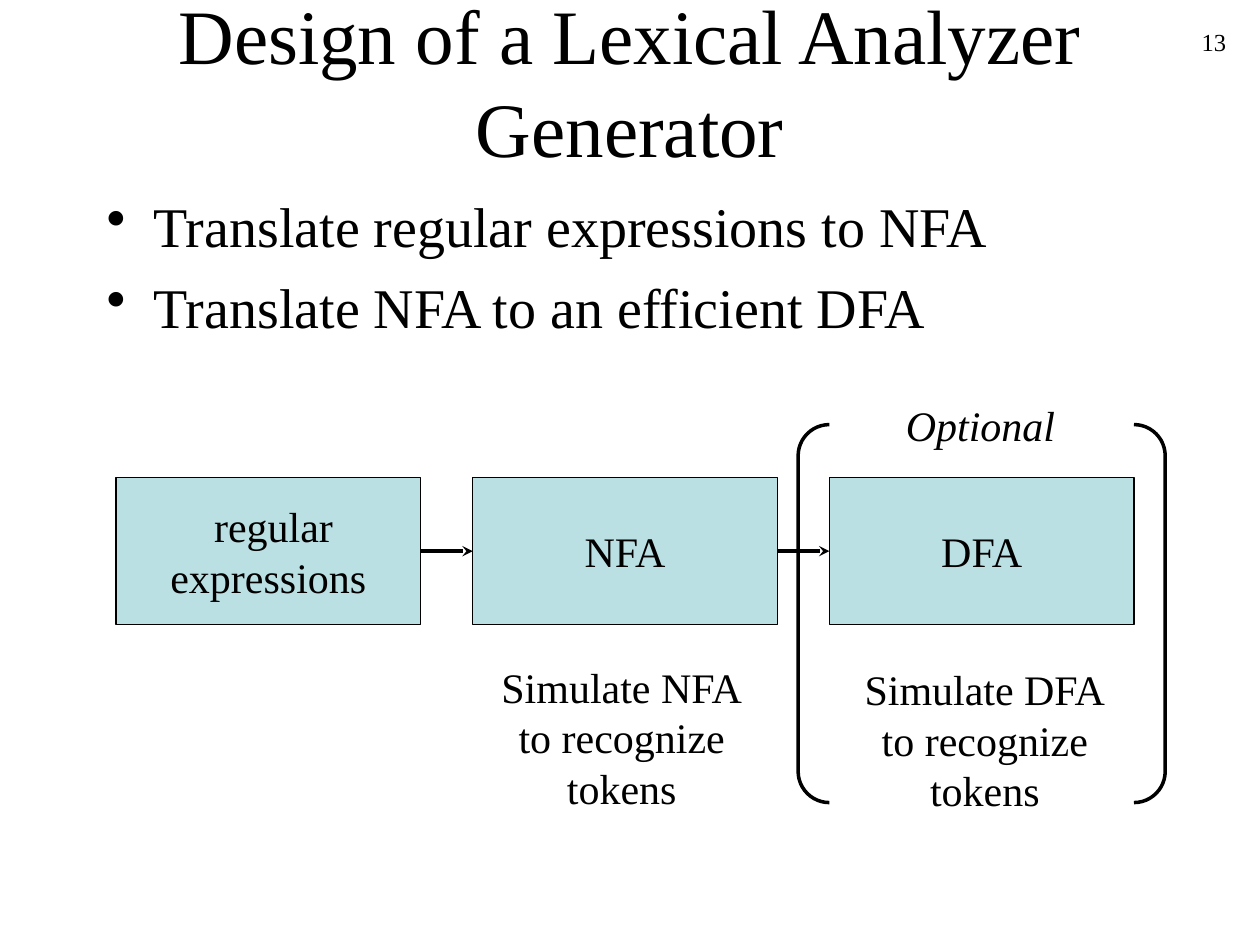
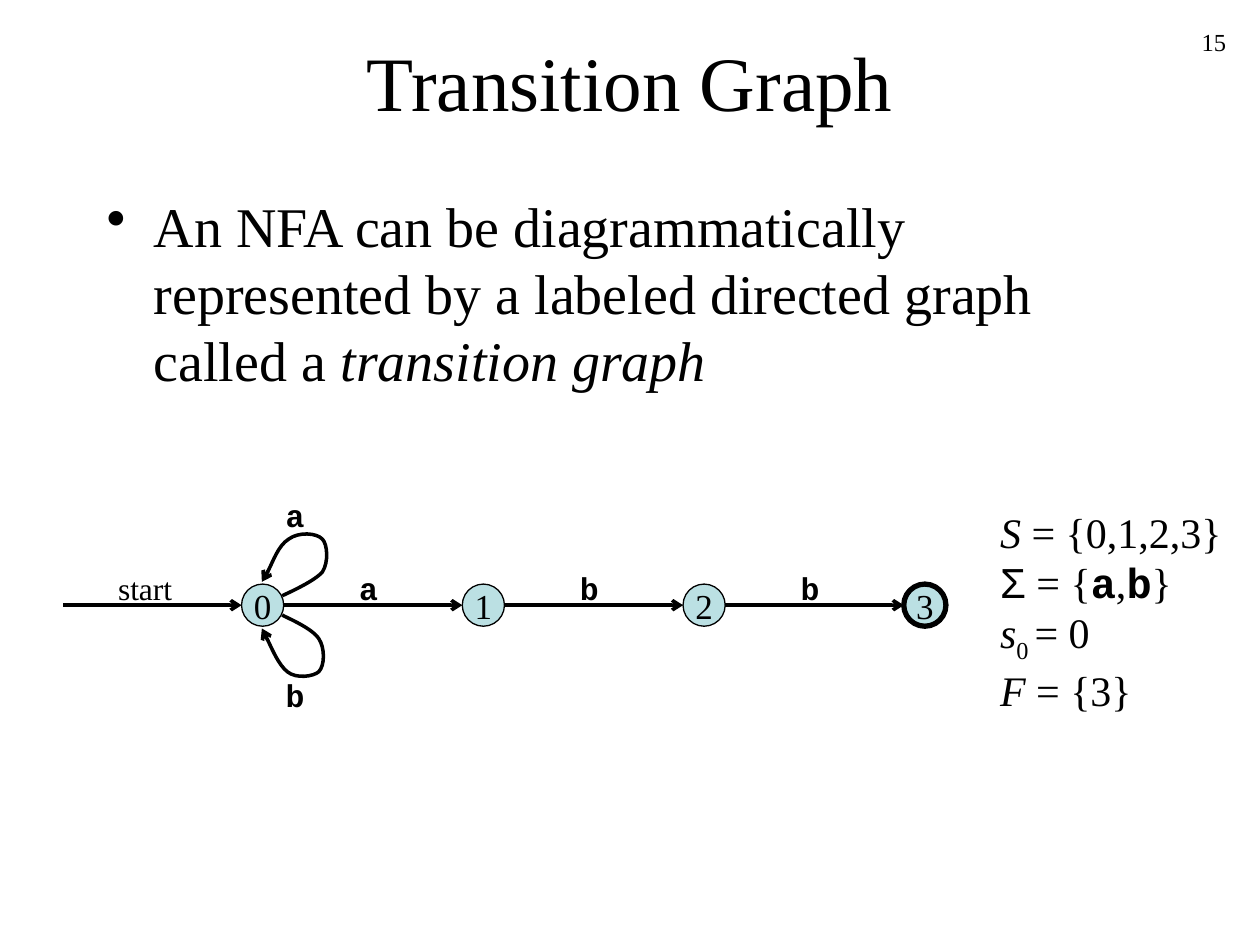
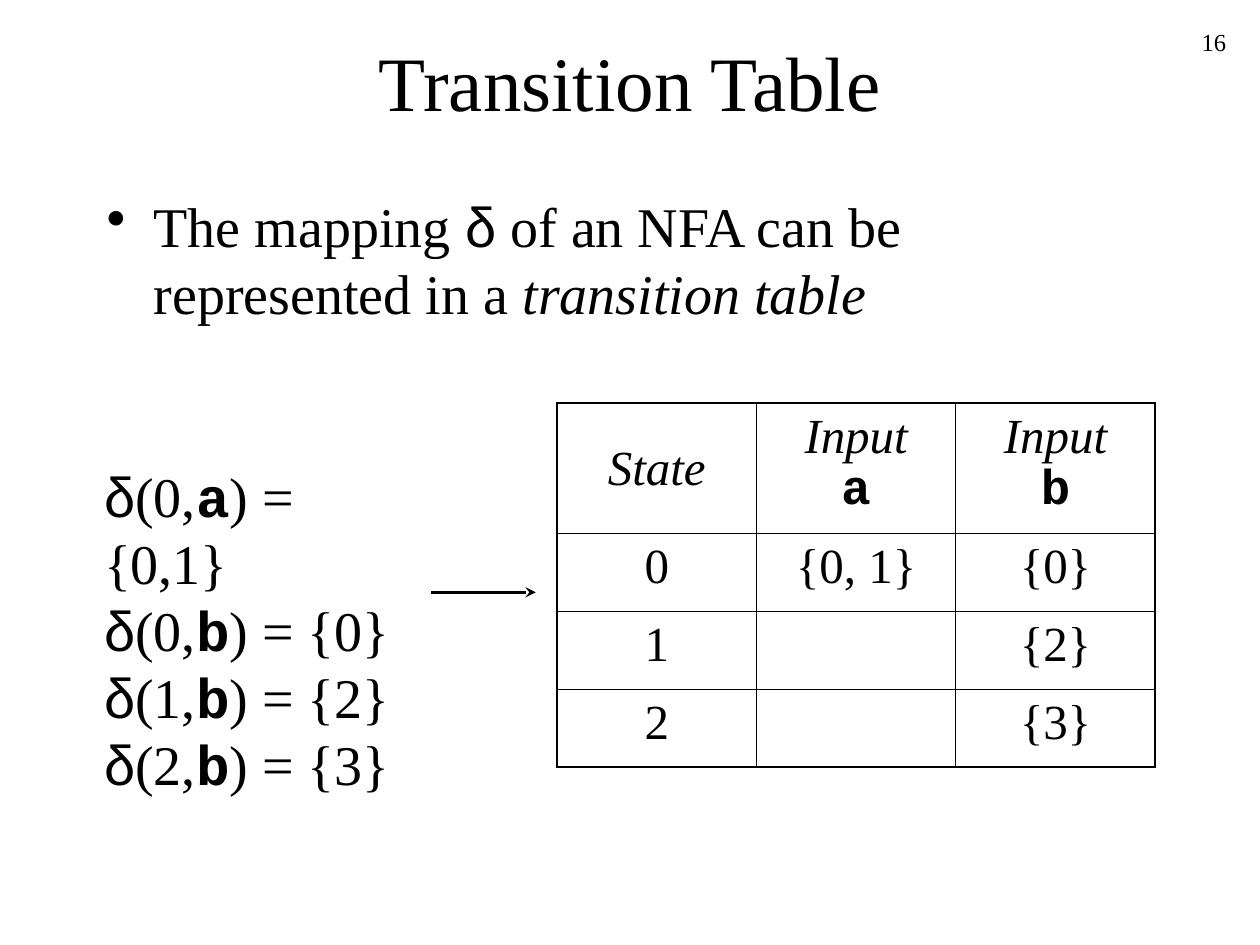
from lxml import etree
from pptx import Presentation
from pptx.dml.color import RGBColor
from pptx.enum.shapes import MSO_CONNECTOR, MSO_SHAPE
from pptx.enum.text import MSO_ANCHOR, PP_ALIGN
from pptx.oxml.ns import qn
from pptx.util import Cm, Pt

INK, BOX_FILL = "000000", "BBE0E3"
SERIF, SANS, MONO = "Times New Roman", "Arial", "Courier New"
STYLES = {
    "italic": {"italic": True},
    "greek": {"name": SANS},
    "code": {"name": MONO, "bold": True},
    "sub": {},
}

# Text is a string or a list of strings and (text, style) pairs.
SLIDES = [
    {"number": "13", "title": "Design of a Lexical Analyzer Generator",
     "bullets": ["Translate regular expressions to NFA",
                 "Translate NFA to an efficient DFA"]},
    {"number": "15", "title": "Transition Graph",
     "bullets": [["An NFA can be diagrammatically represented by a labeled "
                  "directed graph called a ", ("transition graph", "italic")]]},
    {"number": "16", "title": "Transition Table",
     "bullets": [["The mapping ", ("δ", "greek"), " of an NFA can be represented in a ",
                  ("transition table", "italic")]]},
]

STAGES = [" regular\nexpressions", "NFA", "DFA"]
STAGE_NOTES = [("Simulate NFA\nto recognize\ntokens", 9.83, 13.21),
               ("Simulate DFA\nto recognize\ntokens", 17.15, 13.26)]

STATES = ["0", "1", "2", "3"]
EDGES = ["a", "b", "b"]
# Start point, then two control points and an end point for each curve.
LOOPS = [
    ("a", 9.88, [(5.69, 12.01), (5.84, 11.94), (6.35, 11.71), (6.5, 11.53),
                 (6.63, 11.33), (6.6, 10.97), (6.5, 10.87),
                 (6.38, 10.74), (6.02, 10.72), (5.82, 10.87),
                 (5.61, 11), (5.41, 11.56), (5.28, 11.73)]),
    ("b", 13.51, [(5.69, 12.4), (5.82, 12.47), (6.3, 12.67), (6.43, 12.88),
                  (6.55, 13.06), (6.55, 13.41), (6.43, 13.54),
                  (6.32, 13.64), (5.97, 13.69), (5.79, 13.54),
                  (5.61, 13.39), (5.38, 12.85), (5.28, 12.67)]),
]
DEFINITION = [("S ", "italic"), "= {0,1,2,3}\n",
              ("Σ", "greek"), " = {", ("a", "code"), ",", ("b", "code"), "}\n",
              ("s", "italic"), ("0 ", "sub"), "= 0\n",
              ("F ", "italic"), "= {3}"]

MAPPINGS = [("0", "a", "{0,1}"), ("0", "b", "{0}"), ("1", "b", "{2}"), ("2", "b", "{3}")]
TABLE = [
    [[("State", "italic")],
     [("Input\n", "italic"), ("a", "code")],
     [("Input\n", "italic"), ("b", "code")]],
    ["0", "{0, 1}", "{0}"],
    ["1", "", "{2}"],
    ["2", "", "{3}"],
]


def rgb(value):
    return RGBColor.from_string(value)


def write(tf, *paragraphs, size=24, align=PP_ALIGN.LEFT, anchor=MSO_ANCHOR.TOP,
          wrap=False, before=0, bullet=False):
    tf.word_wrap = wrap
    tf.vertical_anchor = anchor
    for i, text in enumerate(paragraphs):
        p = tf.add_paragraph() if i else tf.paragraphs[0]
        p.alignment = align
        p.space_before = Pt(before)
        if bullet:
            pPr = p._p.get_or_add_pPr()
            pPr.set("marL", str(Cm(0.95)))
            pPr.set("indent", str(-Cm(0.95)))
            etree.SubElement(pPr, qn("a:buChar"), char="•")
        for part in [text] if isinstance(text, str) else text:
            add_part(p, *([part] if isinstance(part, str) else part), size=size)


def add_part(p, text, style=None, size=24):
    """Add text in one style, with a line break at each newline."""
    for i, line in enumerate(text.split("\n")):
        if i:
            p.add_line_break()
        if not line:
            continue
        r = p.add_run()
        r.text = line
        font = r.font
        font.size, font.name = Pt(size), SERIF
        font.color.rgb = rgb(INK)
        for key, value in STYLES.get(style, {}).items():
            setattr(font, key, value)
        if style == "sub":
            r._r.get_or_add_rPr().set("baseline", "-25000")


def add_text(s, x, y, w, h, *paragraphs, **format):
    tf = s.shapes.add_textbox(Cm(x), Cm(y), Cm(w), Cm(h)).text_frame
    write(tf, *paragraphs, **format)
    return tf


def outline(sp, width, head=None):
    sp.line.color.rgb = rgb(INK)
    sp.line.width = Pt(width)
    if head:
        etree.SubElement(sp.line._get_or_add_ln(), qn("a:tailEnd"), type=head)


def add_shape(s, kind, x, y, w, h, text="", fill=None, line=0.75, size=24):
    sp = s.shapes.add_shape(kind, Cm(x), Cm(y), Cm(w), Cm(h))
    sp.shadow.inherit = False
    if fill:
        sp.fill.solid()
        sp.fill.fore_color.rgb = rgb(fill)
    else:
        sp.fill.background()
    outline(sp, line)
    if text:
        write(sp.text_frame, text, size=size, align=PP_ALIGN.CENTER, anchor=MSO_ANCHOR.MIDDLE)
    return sp


def add_arrow(s, x1, x2, y, head):
    c = s.shapes.add_connector(MSO_CONNECTOR.STRAIGHT, Cm(x1), Cm(y), Cm(x2), Cm(y))
    outline(c, 2, head)
    etree.SubElement(c._element.spPr, qn("a:effectLst"))


def add_curve(s, points, head):
    """Draw a freeform through the points, then turn each three lines into a curve."""
    points = [(Cm(x), Cm(y)) for x, y in points]
    builder = s.shapes.build_freeform(*points[0])
    builder.add_line_segments(points[1:], close=False)
    sp = builder.convert_to_shape()
    sp.shadow.inherit = False
    sp.fill.background()
    outline(sp, 2, head)
    path_el = next(sp._element.iter(qn("a:path")))
    lines = path_el.findall(qn("a:lnTo"))
    for i in range(0, len(lines), 3):
        curve = etree.SubElement(path_el, qn("a:cubicBezTo"))
        for line in lines[i:i + 3]:
            curve.append(line[0])
            path_el.remove(line)


def add_base(prs, number, title, bullets):
    s = prs.slides.add_slide(prs.slide_layouts[6])
    add_text(s, 19.69, 0.43, 5.28, 1.27, number, size=14, align=PP_ALIGN.RIGHT, wrap=True)
    add_text(s, 1.9, 0.03, 21.6, 3.18, title, size=44, align=PP_ALIGN.CENTER,
             anchor=MSO_ANCHOR.MIDDLE, wrap=True)
    add_text(s, 1.9, 3.73, 21.6, 11.43, *bullets, size=32, wrap=True, before=8, bullet=True)
    return s


def draw_pipeline(s):
    left, top, w, h, step = 2.34, 9.63, 6.14, 2.96, 7.19
    for i, stage in enumerate(STAGES):
        x = left + i * step
        add_shape(s, MSO_SHAPE.RECTANGLE, x, top, w, h, stage, fill=BOX_FILL)
        if i:
            add_arrow(s, x - step + w, x, top + h / 2, "stealth")
    for note, x, y in STAGE_NOTES:
        add_text(s, x, y, 5.41, 3.3, note, align=PP_ALIGN.CENTER)
    for kind, x in [(MSO_SHAPE.LEFT_BRACKET, 16.09), (MSO_SHAPE.RIGHT_BRACKET, 22.86)]:
        add_shape(s, kind, x, 8.56, 0.63, 7.62, line=2).adjustments[0] = 1
    add_text(s, 18.01, 7.92, 3.51, 1.27, [("Optional", "italic")])


def draw_graph(s):
    left, mid, d, step = 4.87, 12.2, 0.85, 4.45
    label_y, label_w, label_h = 11.35, 0.89, 1.02
    add_arrow(s, 1.27, left, mid, "arrow")
    add_text(s, 2.13, label_y, 1.6, label_h, "start", size=18)
    for i, state in enumerate(STATES):
        add_shape(s, MSO_SHAPE.OVAL, left + i * step, mid - d / 2, d, d, state, fill=BOX_FILL,
                  line=3 if state == STATES[-1] else 0.75, size=20)
    for i, label in enumerate(EDGES):
        x = left + i * step
        add_arrow(s, x + d, x + step, mid, "arrow")
        add_text(s, x + 2.12, label_y, label_w, label_h, [(label, "code")], size=18)
    for label, y, points in LOOPS:
        add_curve(s, points, "arrow")
        add_text(s, 5.51, y, label_w, label_h, [(label, "code")], size=18)
    add_text(s, 19.91, 10.08, 4.98, 4.47, DEFINITION)


def set_borders(cell, widths):
    tcPr = cell._tc.get_or_add_tcPr()
    for i, (side, width) in enumerate(widths.items()):
        ln = etree.Element(qn("a:" + side), w=str(Pt(width)))
        fill = etree.SubElement(ln, qn("a:solidFill"))
        etree.SubElement(fill, qn("a:srgbClr"), val=INK)
        tcPr.insert(i, ln)


def draw_table(s):
    rows, cols = len(TABLE), len(TABLE[0])
    heights, col_w = [2.62] + [1.57] * (rows - 1), 4.02
    table = s.shapes.add_table(rows, cols, Cm(11.23), Cm(8.13),
                               Cm(cols * col_w), Cm(sum(heights))).table
    table.first_row = table.horz_banding = False
    for col in table.columns:
        col.width = Cm(col_w)
    for r, texts in enumerate(TABLE):
        table.rows[r].height = Cm(heights[r])
        for c, text in enumerate(texts):
            cell = table.cell(r, c)
            cell.fill.background()
            write(cell.text_frame, text, size=28, align=PP_ALIGN.CENTER, wrap=True, before=7)
            cell.margin_left = cell.margin_right = Cm(0.25)
            cell.vertical_anchor = MSO_ANCHOR.MIDDLE if r == c == 0 else MSO_ANCHOR.TOP
            outer = {"lnL": c == 0, "lnR": c == cols - 1, "lnT": r == 0, "lnB": r == rows - 1}
            set_borders(cell, {side: 1.08 if edge else 0.45 for side, edge in outer.items()})


def draw_mappings(s):
    parts = []
    for i, (state, symbol, targets) in enumerate(MAPPINGS):
        end = "\n" if i < len(MAPPINGS) - 1 else ""
        parts += [("δ", "greek"), f"({state},", (symbol, "code"), f") = {targets}{end}"]
    tf = add_text(s, 1.85, 9.17, 7.04, 5.69, parts, size=32, wrap=True)
    tf.margin_right = Cm(0.8)
    add_arrow(s, 8.69, 10.8, 11.94, "stealth")


def main():
    prs = Presentation()
    prs.slide_width, prs.slide_height = Cm(25.4), Cm(19.05)
    pipeline, graph, mapping = [add_base(prs, **content) for content in SLIDES]
    draw_pipeline(pipeline)
    draw_graph(graph)
    draw_table(mapping)
    draw_mappings(mapping)
    prs.save("out.pptx")


if __name__ == "__main__":
    main()
